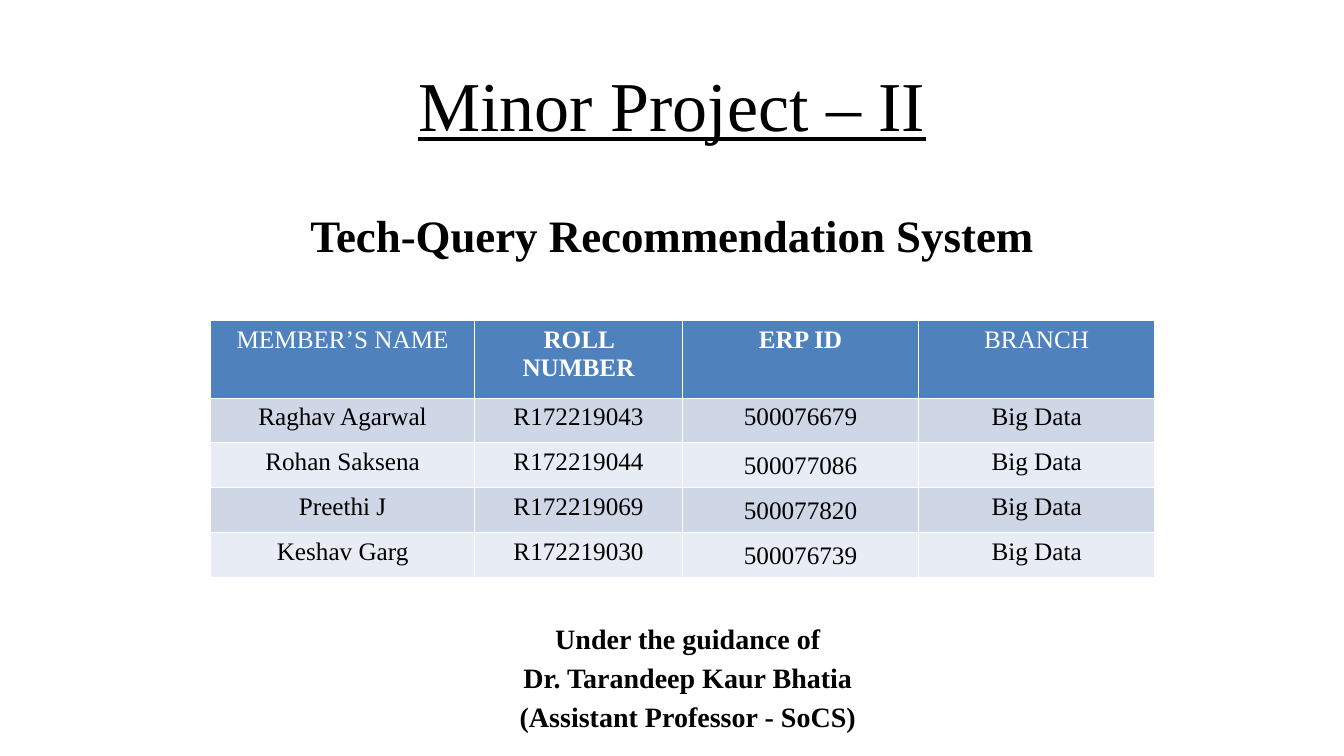
from dataclasses import dataclass

import pptx
import pptx.dml.color
import pptx.enum.text
import pptx.util

Cm = pptx.util.Cm
FONT = "Times New Roman"
BLACK, WHITE, HEADER_BLUE = "000000", "FFFFFF", "4F81BD"
BANDS = ("CFD7E7", "E8ECF4")


@dataclass(frozen=True)
class TextBlock:
    lines: tuple[str, ...]
    left: float
    top: float
    width: float
    height: float
    size: float
    bold: bool = True
    underline: bool = False
    spacing: float = 1.0


@dataclass(frozen=True)
class Column:
    heading: str
    width: float
    entries: tuple[str, ...]
    bold_heading: bool = False
    spacings: tuple[float, ...] = (1.0,) * 4


BLOCKS = (
    TextBlock(("Minor Project – II",), 0, 1.43, 33.87, 2.4, 50, bold=False, underline=True),
    TextBlock(("Tech-Query Recommendation System",), 0, 5.1, 33.87, 1.6, 32.1),
    TextBlock(
        ("Under the guidance of", "Dr. Tarandeep Kaur Bhatia", "(Assistant Professor - SoCS)"),
        8.86, 15.42, 16.95, 3.1, 20, spacing=1.15,
    ),
)

COLUMNS = (
    Column("MEMBER’S NAME", 6.65, ("Raghav Agarwal", "Rohan Saksena", "Preethi J", "Keshav Garg")),
    Column("ROLL NUMBER", 5.24, ("R172219043", "R172219044", "R172219069", "R172219030"),
           bold_heading=True),
    Column("ERP ID", 5.95, ("500076679", "500077086", "500077820", "500076739"),
           bold_heading=True, spacings=(1.0, 1.15, 1.15, 1.15)),
    Column("BRANCH", 5.95, ("Big Data",) * 4),
)
TABLE_LEFT, TABLE_TOP = 5.31, 8.08
HEADER_HEIGHT, MEMBER_HEIGHT = 1.96, 1.12


def rgb(colour: str) -> pptx.dml.color.RGBColor:
    return pptx.dml.color.RGBColor.from_string(colour)


def write(frame, *lines: str, size: float = 18, colour: str = BLACK, bold: bool = False,
          underline: bool = False, spacing: float = 1.0) -> None:
    """Fill a text frame with one centred paragraph per line."""
    frame.word_wrap = True
    for index, line in enumerate(lines):
        paragraph = frame.add_paragraph() if index else frame.paragraphs[0]
        paragraph.alignment = pptx.enum.text.PP_ALIGN.CENTER
        if spacing != 1.0:
            paragraph.line_spacing = spacing
        run = paragraph.add_run()
        run.text = line
        run.font.name = FONT
        run.font.size = pptx.util.Pt(size)
        run.font.bold = bold
        run.font.underline = underline
        run.font.color.rgb = rgb(colour)


def draw_block(slide, block: TextBlock) -> None:
    box = slide.shapes.add_textbox(
        Cm(block.left), Cm(block.top), Cm(block.width), Cm(block.height))
    write(box.text_frame, *block.lines, size=block.size, bold=block.bold,
          underline=block.underline, spacing=block.spacing)


def fill_cell(cell, colour: str) -> None:
    cell.fill.solid()
    cell.fill.fore_color.rgb = rgb(colour)


def draw_members(slide, columns: tuple[Column, ...]) -> None:
    member_count = len(columns[0].entries)
    members = slide.shapes.add_table(
        member_count + 1, len(columns), Cm(TABLE_LEFT), Cm(TABLE_TOP),
        Cm(sum(column.width for column in columns)),
        Cm(HEADER_HEIGHT + member_count * MEMBER_HEIGHT),
    ).table
    for index, row in enumerate(members.rows):
        row.height = Cm(MEMBER_HEIGHT if index else HEADER_HEIGHT)
    for c, column in enumerate(columns):
        members.columns[c].width = Cm(column.width)
        heading = members.cell(0, c)
        fill_cell(heading, HEADER_BLUE)
        write(heading.text_frame, column.heading, colour=WHITE, bold=column.bold_heading)
        for r, (entry, spacing) in enumerate(zip(column.entries, column.spacings)):
            cell = members.cell(r + 1, c)
            fill_cell(cell, BANDS[r % 2])
            write(cell.text_frame, entry, spacing=spacing)


def main() -> None:
    presentation = pptx.Presentation()
    presentation.slide_width, presentation.slide_height = Cm(33.87), Cm(19.05)
    slide = presentation.slides.add_slide(presentation.slide_layouts[6])
    for block in BLOCKS:
        draw_block(slide, block)
    draw_members(slide, COLUMNS)
    presentation.save("out.pptx")


if __name__ == "__main__":
    main()
